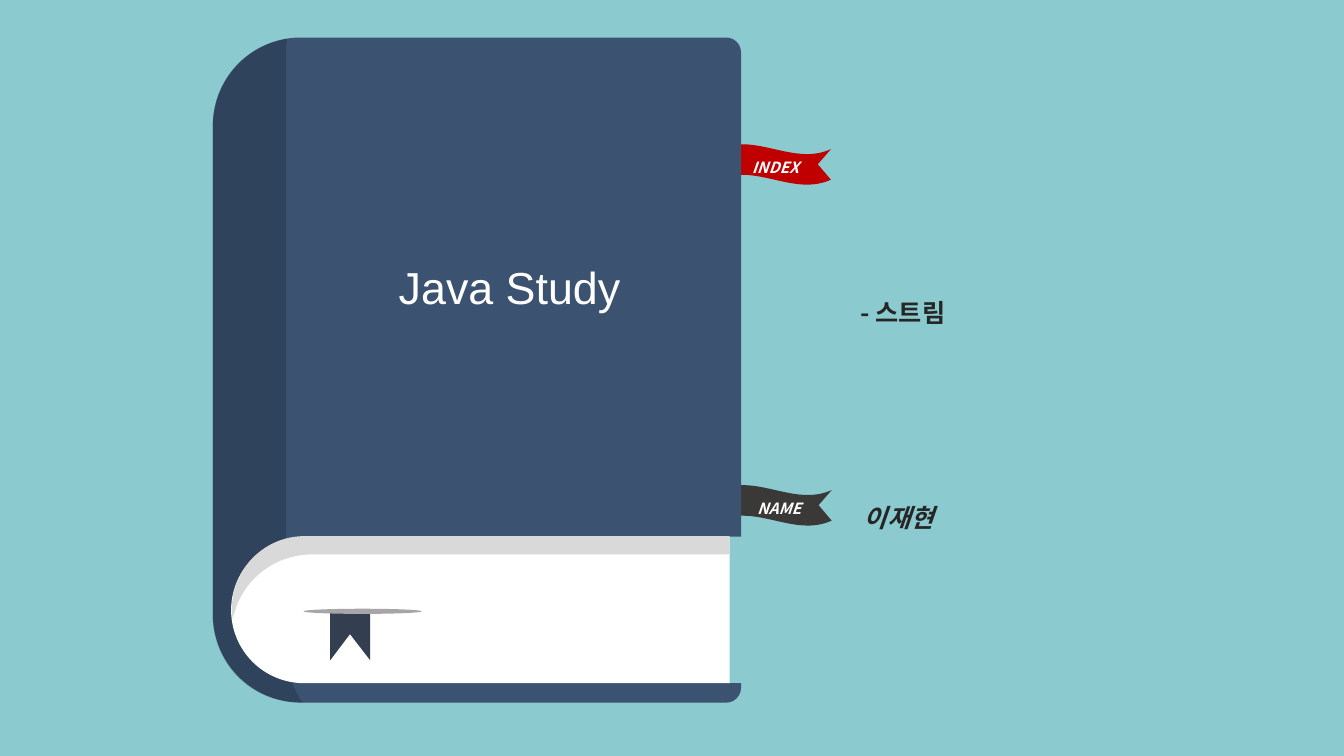
"""Build the Java Study cover slide with a drawn book and two flags."""
from lxml import etree
from pptx import Presentation
from pptx.dml.color import RGBColor
from pptx.enum.shapes import MSO_SHAPE
from pptx.enum.text import MSO_ANCHOR, PP_ALIGN
from pptx.oxml.ns import qn
from pptx.util import Cm, Pt

RECT = MSO_SHAPE.RECTANGLE
OVAL = MSO_SHAPE.OVAL
ROUND = MSO_SHAPE.ROUND_2_SAME_RECTANGLE
MIDDLE, TOP = MSO_ANCHOR.MIDDLE, MSO_ANCHOR.TOP
LEFT, CENTER = PP_ALIGN.LEFT, PP_ALIGN.CENTER

SKY = RGBColor(0x8B, 0xCA, 0xCF)
NAVY = RGBColor(0x3B, 0x52, 0x71)
SLATE = RGBColor(0x33, 0x3F, 0x50)
RED = RGBColor(0xC0, 0x00, 0x00)
COAL = RGBColor(0x3B, 0x38, 0x38)
INK = RGBColor(0x26, 0x26, 0x26)
BLACK = RGBColor(0x00, 0x00, 0x00)
WHITE = RGBColor(0xFF, 0xFF, 0xFF)
PALE = RGBColor(0xD9, 0xD9, 0xD9)
GRAY = RGBColor(0xA6, 0xA6, 0xA6)

KOREAN = "Noto Sans CJK KR"

FLAG = [(0, 0.77), (0, 0), (0.97, -0.43, 1.9, 0.43, 2.85, 0), (2.52, 0.38),
        (2.85, 0.77), (1.9, 1.2, 0.97, 0.34, 0, 0.77)]
SPINE = [(7.24, 0.97), (7.21, 1.19), (7.21, 16.41),
         (7.21, 16.87, 7.37, 17.3, 7.59, 17.65), (7.65, 17.7), (7.57, 17.7),
         (6.3, 17.7, 5.36, 16.71, 5.36, 15.49), (5.36, 3.18),
         (5.36, 2.08, 6.12, 1.19, 7.14, 0.99)]
SHADE = [(7.67, 13.51), (18.39, 13.51), (18.39, 13.97), (7.87, 13.97),
         (6.88, 13.97, 6.05, 14.66, 5.87, 15.6), (5.87, 15.62), (5.84, 15.37),
         (5.84, 14.35, 6.65, 13.51, 7.67, 13.51)]
RIBBON = [(8.32, 15.37), (9.33, 15.37), (9.33, 16.64), (8.82, 15.98),
          (8.32, 16.64)]


def spin(dots, turn):
    """Undo a quarter turn of points about their centre."""
    if not turn:
        return dots
    cx, cy = ((min(side) + max(side)) / 2 for side in zip(*dots))
    sign = 1 if turn == 270 else -1
    return [(cx - sign * (y - cy), cy + sign * (x - cx)) for x, y in dots]


def write(frame, text, size=18, font=KOREAN, color=INK, bold=False,
          italic=False, align=LEFT, lines=None):
    """Put one formatted paragraph into a text frame."""
    para = frame.paragraphs[0]
    para.alignment = align
    if lines:
        para.line_spacing = lines
    run = para.add_run()
    run.text = text
    run.font.size = Pt(size)
    run.font.name = font
    run.font.bold = bold
    run.font.italic = italic
    run.font.color.rgb = color
    east = etree.SubElement(run.font._element, qn("a:ea"))
    east.set("typeface", font)


class Page:
    """Hold the current slide and draw its elements."""

    def __init__(self, slide, back):
        """Set the slide and its background colour."""
        self.shapes = slide.shapes
        slide.background.fill.solid()
        slide.background.fill.fore_color.rgb = back

    def paint(self, shape, color, alpha=None):
        """Give a shape a plain fill without line or shadow."""
        shape.shadow.inherit = False
        shape.fill.solid()
        shape.fill.fore_color.rgb = color
        shape.line.fill.background()
        if alpha:
            tint = shape._element.spPr.find(".//" + qn("a:srgbClr"))
            etree.SubElement(tint, qn("a:alpha")).set("val", str(alpha * 1000))

    def block(self, kind, box, color, turn=0, bends=()):
        """Draw a preset shape."""
        shape = self.shapes.add_shape(kind, *map(Cm, box))
        shape.rotation = turn
        for i, bend in enumerate(bends):
            shape.adjustments[i] = bend
        self.paint(shape, color)

    def outline(self, parts, color, x=0, y=0, turn=0, trim=0, alpha=None):
        """Draw a closed outline, trimming its frame to the curves."""
        dots = [(x + part[i], y + part[i + 1])
                for part in parts for i in range(0, len(part), 2)]
        dots = [(Cm(a), Cm(b)) for a, b in spin(dots, turn)]
        pen = self.shapes.build_freeform(*dots[0])
        pen.add_line_segments(dots[1:], close=True)
        shape = pen.convert_to_shape()
        shape.rotation = turn
        shape.top += Cm(trim)
        shape.height -= 2 * Cm(trim)
        track = shape._element.spPr.find(".//" + qn("a:path"))
        track.set("h", str(shape.height))
        for point in track.iter(qn("a:pt")):
            point.set("y", str(int(point.get("y")) - Cm(trim)))
        self.bend(track, parts)
        self.paint(shape, color, alpha)

    def bend(self, track, parts):
        """Join each three lines that stand for a curve."""
        lines = iter(track.findall(qn("a:lnTo")))
        for part in parts[1:]:
            first = next(lines)
            if len(part) == 6:
                first.tag = qn("a:cubicBezTo")
                for line in (next(lines), next(lines)):
                    first.append(line[0])
                    track.remove(line)

    def label(self, box, text, wrap=True, anchor=TOP, inset=None, **style):
        """Add a text box."""
        frame = self.shapes.add_textbox(*map(Cm, box)).text_frame
        frame.word_wrap = wrap
        frame.vertical_anchor = anchor
        if inset is not None:
            frame.margin_left = frame.margin_right = Cm(inset)
            frame.margin_top = frame.margin_bottom = Cm(inset)
        write(frame, text, **style)

    def flag(self, x, y, color, text, box):
        """Draw a waving flag with its caption."""
        self.outline(FLAG, color, x, y, trim=0.31)
        self.label(box, text, wrap=False, size=11, color=WHITE, bold=True,
                   italic=True, lines=1.5)


def main():
    """Draw the slide and save it."""
    deck = Presentation()
    deck.slide_width, deck.slide_height = Cm(33.87), Cm(19.05)
    page = Page(deck.slides.add_slide(deck.slide_layouts[6]), SKY)
    page.label((21.77, 11.94, 7.65, 1.45), "이재현", anchor=MIDDLE, inset=0,
               bold=True, italic=True, lines=2)
    page.label((21.44, 6.6, 8.31, 1.55), "- 스트림", bold=True, lines=2)
    page.flag(18.09, 3.76, RED, "INDEX", (18.7, 3.63, 1.7, 0.86))
    page.flag(18.11, 12.35, COAL, "NAME", (18.83, 12.22, 1.68, 0.86))
    page.block(ROUND, (3.64, 2.67, 16.76, 13.31), NAVY, 270, (0.167, 0.028))
    page.outline(SPINE, BLACK, turn=270, alpha=18)
    page.block(ROUND, (10.27, 9.09, 3.68, 12.57), WHITE, 270, (0.5, 0))
    page.block(RECT, (18.39, 13.52, 2.67, 3.69), SKY)
    page.outline(SHADE, PALE, turn=270)
    page.outline(RIBBON, SLATE, turn=90)
    page.block(OVAL, (7.65, 15.34, 2.98, 0.13), GRAY)
    page.label((7.6, 6.43, 10.49, 1.63), "Java Study", size=32, font="Arial",
               color=WHITE, align=CENTER)
    deck.save("out.pptx")


if __name__ == "__main__":
    main()
